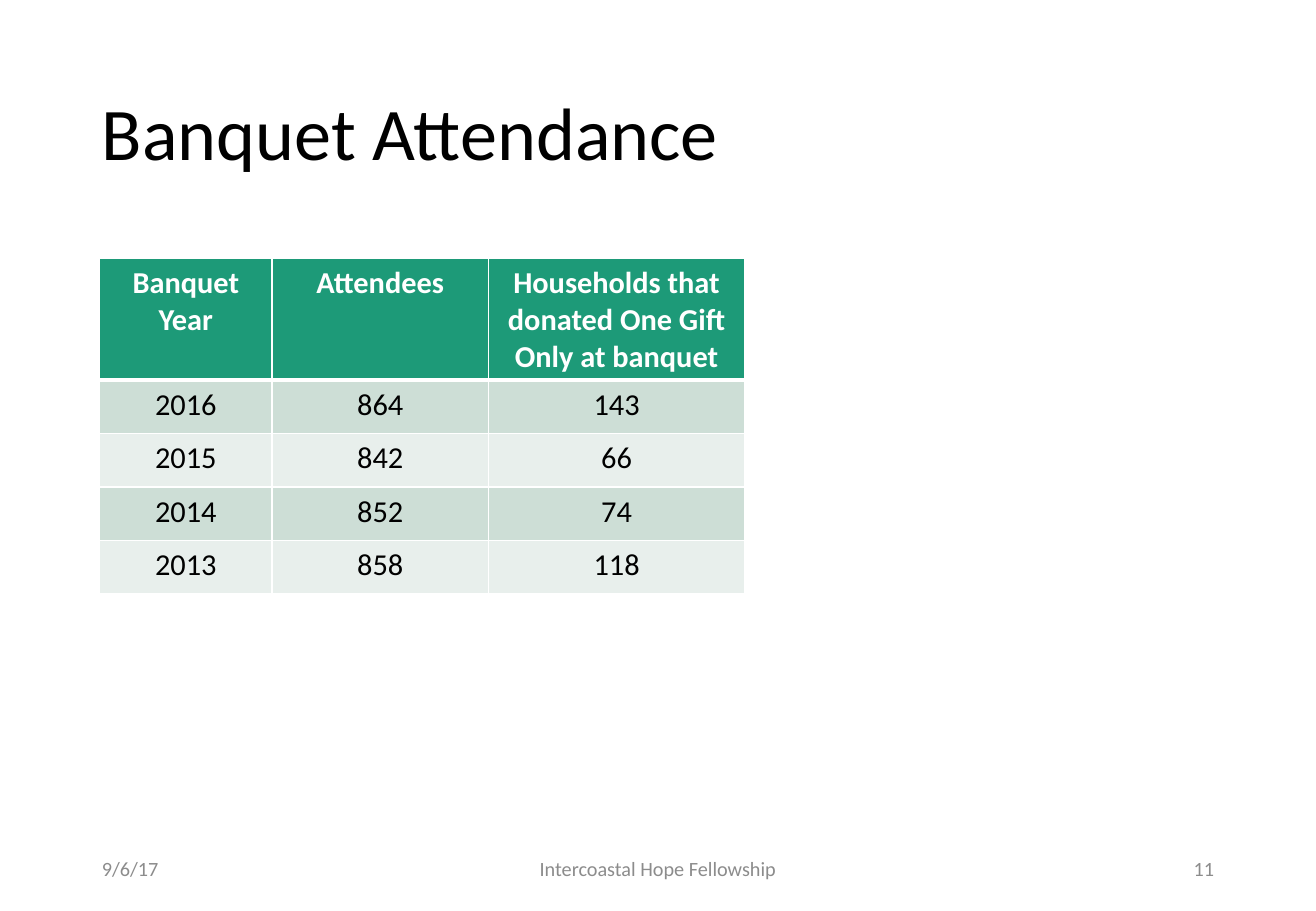
import pptx
import pptx.dml.color
import pptx.enum.text
import pptx.oxml
import pptx.oxml.ns
import pptx.util

SLIDE_WIDTH = pptx.util.Inches(10.83)
SLIDE_HEIGHT = pptx.util.Inches(7.5)
FONT = "Calibri"
COLORS = {
    "title": "000000",
    "footer": "8C8C8C",
    "header": "1D9A78",
    "header_text": "FFFFFF",
    "body_text": "000000",
    "odd_row": "CDDED6",
    "even_row": "E8EFEC",
    "border": "FFFFFF",
}
ALIGN = pptx.enum.text.PP_ALIGN
MARGIN = 6.83
CONTENT_WIDTH = 100 - 2 * MARGIN
COLUMN_WIDTHS = [13.11, 16.44, 19.48]
HEADER_HEIGHT = 13.33
ROW_HEIGHT = 5.87
ATTENDANCE = [
    ["Banquet Year", "Attendees", "Households that donated One Gift Only at banquet"],
    ["2016", "864", "143"],
    ["2015", "842", "66"],
    ["2014", "852", "74"],
    ["2013", "858", "118"],
]


def across(percent):
    return round(SLIDE_WIDTH * percent / 100)


def down(percent):
    return round(SLIDE_HEIGHT * percent / 100)


def write(frame, text, size, color, align, bold=False):
    frame.text = text
    paragraph = frame.paragraphs[0]
    paragraph.alignment = align
    font = paragraph.runs[0].font
    font.name = FONT
    font.size = pptx.util.Pt(size)
    font.bold = bold
    font.color.rgb = pptx.dml.color.RGBColor.from_string(COLORS[color])


def add_label(slide, left, top, width, height, text, size, color, align=ALIGN.LEFT):
    label = slide.shapes.add_textbox(across(left), down(top), across(width), down(height))
    frame = label.text_frame
    frame.word_wrap = True
    frame.vertical_anchor = pptx.enum.text.MSO_ANCHOR.MIDDLE
    write(frame, text, size, color, align)
    return frame


def set_borders(cell, widths):
    properties = cell._tc.get_or_add_tcPr()
    for position, (side, width) in enumerate(widths.items()):
        line = pptx.oxml.parse_xml(
            f'<a:ln{side} {pptx.oxml.ns.nsdecls("a")} w="{pptx.util.Pt(width)}">'
            f'<a:solidFill><a:srgbClr val="{COLORS["border"]}"/></a:solidFill></a:ln{side}>'
        )
        properties.insert(position, line)


def fill_cell(cell, text, row):
    is_header = row == 0
    background = "header" if is_header else "odd_row" if row % 2 else "even_row"
    cell.fill.solid()
    cell.fill.fore_color.rgb = pptx.dml.color.RGBColor.from_string(COLORS[background])
    text_color = "header_text" if is_header else "body_text"
    write(cell.text_frame, text, 18, text_color, ALIGN.CENTER, is_header)
    top = 3 if row == 1 else 1
    bottom = 3 if is_header else 1
    set_borders(cell, {"L": 1, "R": 1, "T": top, "B": bottom})


def add_attendance_table(slide, left, top):
    heights = [HEADER_HEIGHT] + [ROW_HEIGHT] * (len(ATTENDANCE) - 1)
    table = slide.shapes.add_table(
        len(heights), len(COLUMN_WIDTHS), across(left), down(top),
        across(sum(COLUMN_WIDTHS)), down(sum(heights)),
    ).table
    for column, width in zip(table.columns, COLUMN_WIDTHS):
        column.width = across(width)
    for row, (height, values) in enumerate(zip(heights, ATTENDANCE)):
        table.rows[row].height = down(height)
        for column, value in enumerate(values):
            fill_cell(table.cell(row, column), value, row)


def add_footer(slide):
    side_width, center_width = 22.53, 33.8
    entries = [
        (MARGIN, side_width, "9/6/17", ALIGN.LEFT),
        (50 - center_width / 2, center_width, "Intercoastal Hope Fellowship", ALIGN.CENTER),
        (100 - MARGIN - side_width, side_width, "11", ALIGN.RIGHT),
    ]
    for left, width, text, align in entries:
        add_label(slide, left, 92.67, width, 5.33, text, 12, "footer", align)


def main():
    presentation = pptx.Presentation()
    presentation.slide_width = SLIDE_WIDTH
    presentation.slide_height = SLIDE_HEIGHT
    slide = presentation.slides.add_slide(presentation.slide_layouts[6])
    title = add_label(slide, MARGIN, 5.33, CONTENT_WIDTH, 19.33, "Banquet Attendance", 44, "title")
    title.paragraphs[0].line_spacing = 0.9
    add_attendance_table(slide, 7.57, 28.4)
    add_footer(slide)
    presentation.save("out.pptx")


if __name__ == "__main__":
    main()
